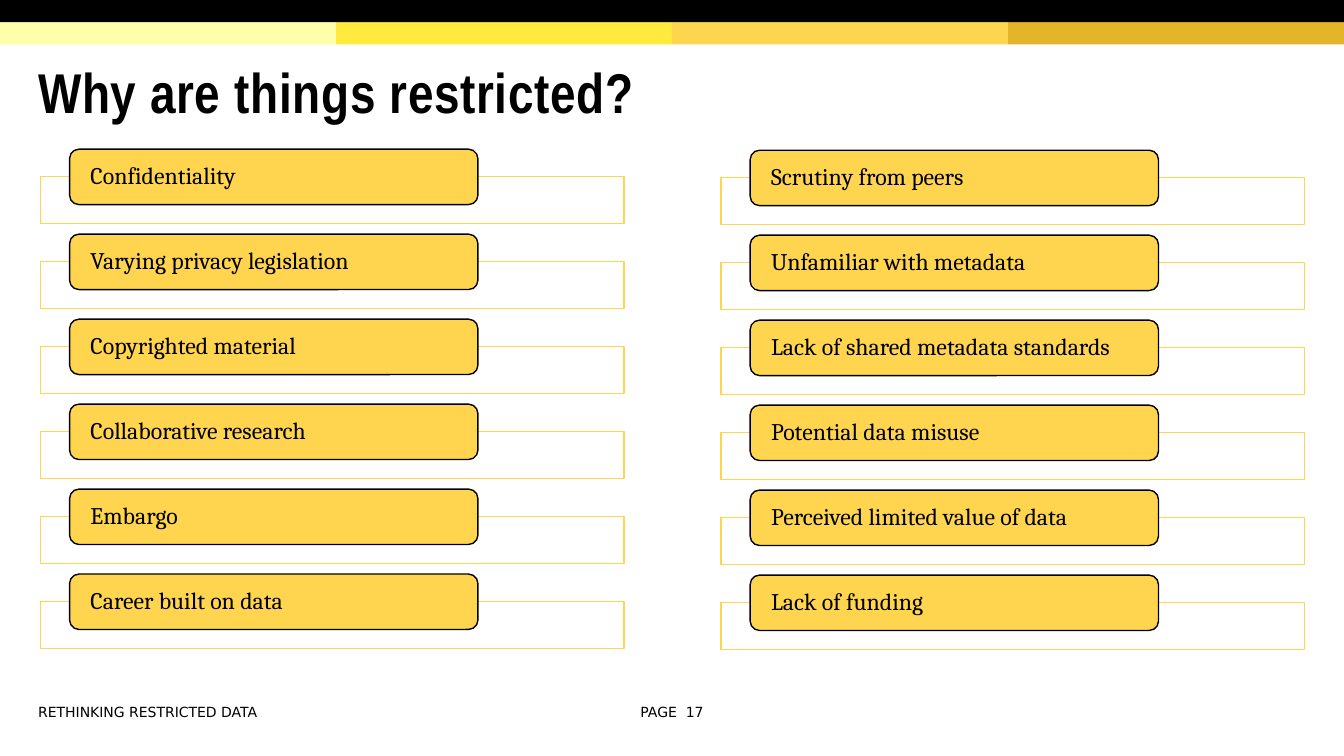
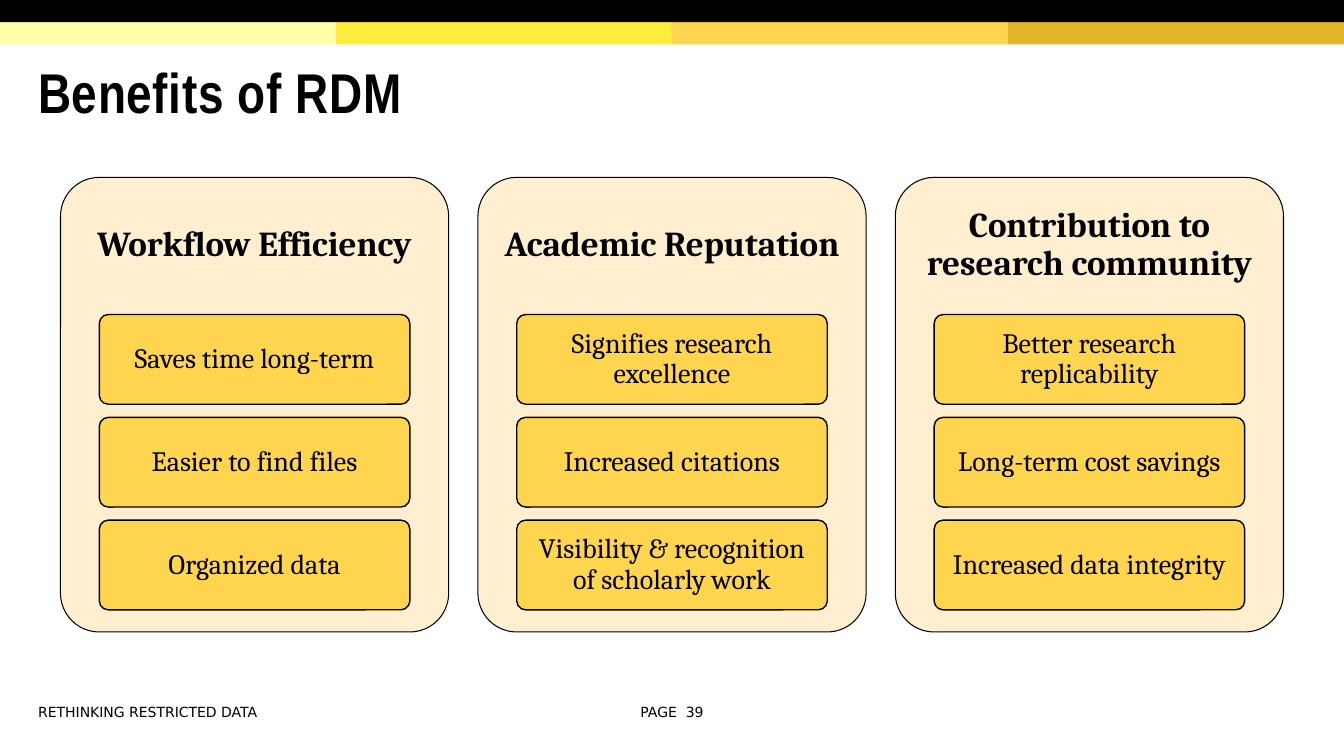
from pptx import Presentation
from pptx.dml.color import RGBColor
from pptx.enum.shapes import MSO_SHAPE
from pptx.enum.text import MSO_ANCHOR, PP_ALIGN
from pptx.util import Inches, Pt

BLACK, WHITE, GOLD, CREAM = "000000", "FFFFFF", "FFD54F", "FFEFD0"
BANDS = ["FFFFAA", "FFEA3D", GOLD, "E4B429"]
HEAD, BODY, SMALL = "Arial Narrow", "Cambria", "DejaVu Sans"
FOOTER = "RETHINKING RESTRICTED DATA"
WIDE, HIGH = 13.33, 7.5

REASONS = [
    (0.4, 1.48, [
        "Confidentiality",
        "Varying privacy legislation",
        "Copyrighted material",
        "Collaborative research",
        "Embargo",
        "Career built on data",
    ]),
    (7.15, 1.49, [
        "Scrutiny from peers",
        "Unfamiliar with metadata",
        "Lack of shared metadata standards",
        "Potential data misuse",
        "Perceived limited value of data",
        "Lack of funding",
    ]),
]

GAINS = [
    ("Workflow Efficiency", [
        "Saves time long-term",
        "Easier to find files",
        "Organized data",
    ]),
    ("Academic Reputation", [
        "Signifies research excellence",
        "Increased citations",
        "Visibility & recognition of scholarly work",
    ]),
    ("Contribution to research community", [
        "Better research replicability",
        "Long-term cost savings",
        "Increased data integrity",
    ]),
]


def color(code):
    return RGBColor.from_string(code)


def write(shape, text, font, size, bold=False, align=PP_ALIGN.LEFT,
          lead=1.0, pad=(0.1, 0.05)):
    frame = shape.text_frame
    frame.word_wrap = True
    frame.vertical_anchor = MSO_ANCHOR.MIDDLE
    frame.margin_left = frame.margin_right = Inches(pad[0])
    frame.margin_top = frame.margin_bottom = Inches(pad[1])
    para = frame.paragraphs[0]
    para.alignment = align
    para.line_spacing = lead
    run = para.add_run()
    run.text = text
    para.font.name = font
    para.font.size = Pt(size)
    para.font.bold = bold
    para.font.color.rgb = color(BLACK)
    return run


def label(slide, box, *args, **style):
    shape = slide.shapes.add_textbox(*map(Inches, box))
    return write(shape, *args, **style)


def block(slide, box, fill, line=None, width=1, curve=None):
    kind = MSO_SHAPE.RECTANGLE if curve is None else MSO_SHAPE.ROUNDED_RECTANGLE
    shape = slide.shapes.add_shape(kind, *map(Inches, box))
    shape.shadow.inherit = False
    if curve is not None:
        shape.adjustments[0] = curve
    shape.fill.solid()
    shape.fill.fore_color.rgb = color(fill)
    if line:
        shape.line.color.rgb = color(line)
        shape.line.width = Pt(width)
    else:
        shape.line.fill.background()
    return shape


def start(deck, title, page):
    slide = deck.slides.add_slide(deck.slide_layouts[6])
    step = WIDE / len(BANDS)
    for i, fill in enumerate(BANDS):
        block(slide, (i * step, 0.22, step, 0.22), fill)
    block(slide, (0, 0, WIDE, 0.22), BLACK)
    run = label(slide, (0.28, 0.47, 12.65, 0.98), title, HEAD, 40,
                bold=True, lead=0.85)
    run.font._element.set("spc", "50")
    label(slide, (0.28, 6.93, 5.72, 0.27), FOOTER, SMALL, 10)
    label(slide, (6.11, 6.93, 1.11, 0.27), f"PAGE  {page}", SMALL, 10,
          align=PP_ALIGN.CENTER)
    return slide


def reasons(deck):
    slide = start(deck, "Why are things restricted?", 17)
    for left, top, items in REASONS:
        for i, text in enumerate(items):
            y = top + i * 0.843
            block(slide, (left, y + 0.27, 5.79, 0.47), WHITE, GOLD)
            pill = block(slide, (left + 0.29, y, 4.05, 0.55), GOLD, BLACK,
                         curve=0.17)
            write(pill, text, BODY, 17, lead=0.9, pad=(0.18, 0))


def gains(deck):
    slide = start(deck, "Benefits of RDM", 39)
    for i, (name, items) in enumerate(GAINS):
        x = 0.6 + i * 4.14
        block(slide, (x, 1.76, 3.85, 4.51), CREAM, BLACK, 0.75, 0.1)
        label(slide, (x + 0.04, 1.8, 3.77, 1.27), name, BODY, 25, bold=True,
              align=PP_ALIGN.CENTER, lead=0.9, pad=(0.1, 0.1))
        for j, text in enumerate(items):
            card = block(slide, (x + 0.385, 3.12 + j * 1.02, 3.08, 0.89),
                         GOLD, BLACK, curve=0.1)
            write(card, text, BODY, 20, align=PP_ALIGN.CENTER, lead=0.9,
                  pad=(0.08, 0.06))


def main():
    deck = Presentation()
    deck.slide_width = Inches(WIDE)
    deck.slide_height = Inches(HIGH)
    reasons(deck)
    gains(deck)
    deck.save("out.pptx")


if __name__ == "__main__":
    main()
